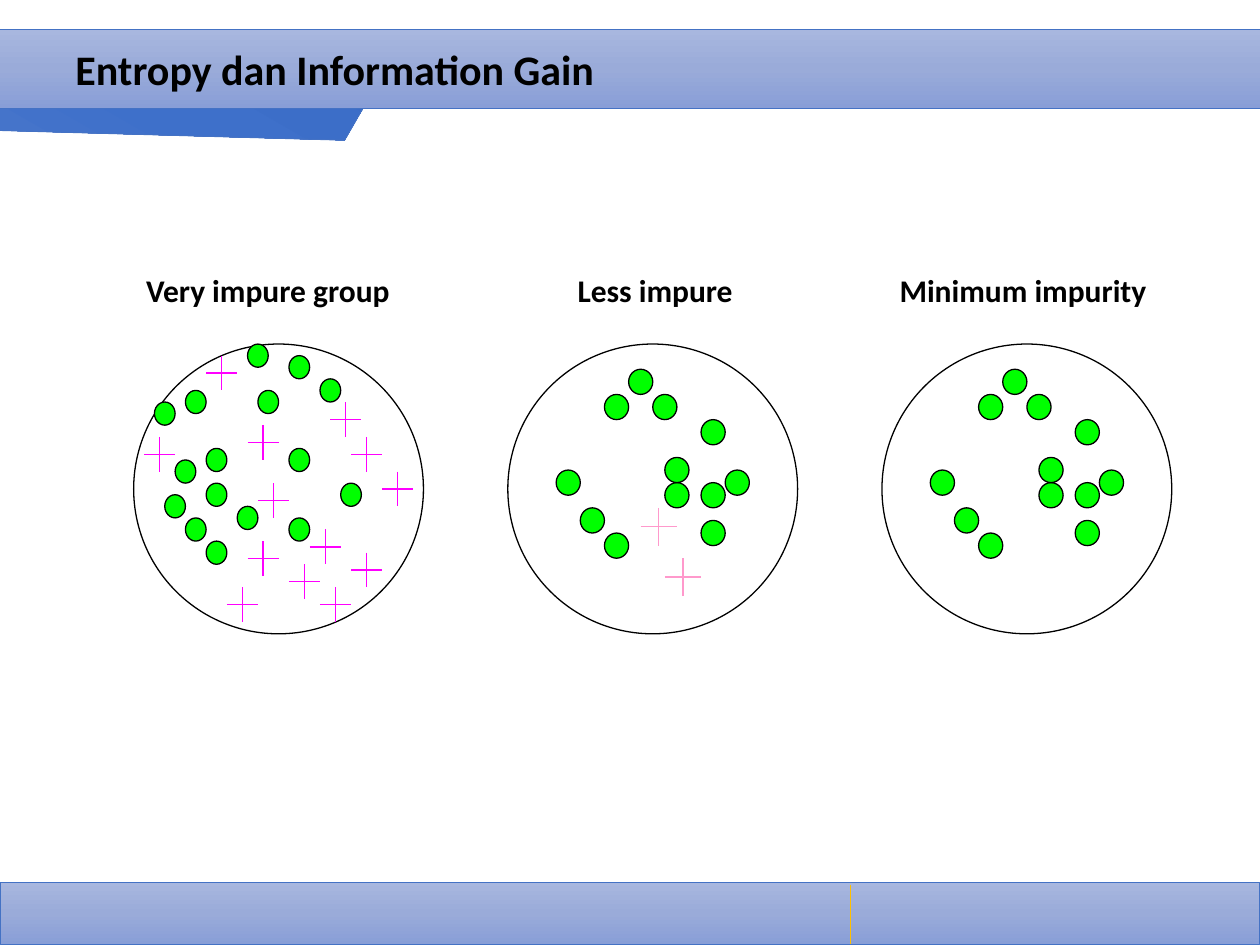
import copy
import pptx
import pptx.dml.color
import pptx.enum.shapes
import pptx.enum.text
import pptx.oxml.ns
import pptx.util
import lxml.etree

Pt = pptx.util.Pt
SHAPE = pptx.enum.shapes.MSO_SHAPE
ALIGN = pptx.enum.text.PP_ALIGN
ANCHOR = pptx.enum.text.MSO_ANCHOR
AUTO = pptx.enum.text.MSO_AUTO_SIZE
qn = pptx.oxml.ns.qn

BAR = ("A8B7DF", "9AABD9", "889ED7")
RIBBON = ("6183CB", "3E70CA", "3062BB")
DIAMETER = 165.6
CIRCLE_TOP = 196.6
CIRCLE_LEFT = 76.4
CIRCLE_PITCH = 213.8

MIXED_DOTS = [(20, 12), (15, 9), (5, 4), (3, 13), (7, 12), (15, 1), (11, 0),
              (12, 4), (18, 3), (15, 15), (5, 15), (7, 17), (10, 14), (7, 9),
              (4, 10), (2, 5)]
MIXED_CROSSES = [(7, 1), (11, 7), (11, 17), (19, 5), (1, 8), (15, 19), (9, 21),
                 (21, 18), (12, 12), (17, 16), (18, 21), (21, 8), (24, 11)]
PURE_DOTS = [(10, 2), (16, 11), (13, 11), (8, 4), (16, 14), (16, 6), (4, 10),
             (6, 13), (8, 15), (12, 4), (13, 9), (18, 10)]
FEW_CROSSES = [(11, 13), (13, 17)]

GROUPS = [
    ("Very impure group", (76.4, 154.8), ALIGN.LEFT, False, (28, 25),
     MIXED_DOTS, MIXED_CROSSES, "FF00FF"),
    ("Less impure", (320.4, 108), ALIGN.CENTER, True, (24, 23),
     PURE_DOTS, FEW_CROSSES, "FF99CC"),
    ("Minimum impurity", (486, 197.3), ALIGN.CENTER, True, (24, 23),
     PURE_DOTS, [], "FF99CC"),
]


def rgb(value):
    return pptx.dml.color.RGBColor.from_string(value)


def apply(target, values):
    for name, value in values.items():
        setattr(target, name, value)


class Deck:
    font = {"name": "Calibri", "bold": True}
    ink = "000000"
    edge = "4472C4"
    dot_fill = "00FF00"
    thin = 0.75

    def __init__(self, width, height):
        self.prs = pptx.Presentation()
        apply(self.prs, {"slide_width": Pt(width), "slide_height": Pt(height)})
        self.s = self.prs.slides.add_slide(self.prs.slide_layouts[6])
        self.shapes = self.s.shapes

    def group(self):
        self.shapes = self.s.shapes.add_group_shape().shapes

    def shape(self, kind, box, color, weight):
        sp = self.shapes.add_shape(kind, *map(Pt, box))
        sp.shadow.inherit = False
        sp.line.color.rgb = rgb(color)
        sp.line.width = Pt(weight)
        return sp

    def gradient(self, kind, box, colors):
        sp = self.shape(kind, box, self.edge, 0.5)
        sp.fill.gradient()
        sp.fill.gradient_angle = 270
        first = next(sp._element.spPr.iter(qn("a:gs")))
        first.addnext(copy.deepcopy(first))
        for i, (stop, color) in enumerate(zip(sp.fill.gradient_stops, colors)):
            stop.color.rgb = rgb(color)
            stop.position = i / 2
        return sp

    def ellipse(self, box, fill=None):
        sp = self.shape(SHAPE.OVAL, box, self.ink, self.thin)
        if fill:
            sp.fill.solid()
            sp.fill.fore_color.rgb = rgb(fill)
        else:
            sp.fill.background()

    def line(self, ends, color, weight):
        kind = pptx.enum.shapes.MSO_CONNECTOR.STRAIGHT
        cxn = self.shapes.add_connector(kind, *map(Pt, ends))
        cxn.line.color.rgb = rgb(color)
        cxn.line.width = Pt(weight)
        lxml.etree.SubElement(cxn._element.spPr, qn("a:effectLst"))

    def cross(self, x, y, w, h, color):
        self.line((x, y + h / 2, x + w, y + h / 2), color, self.thin)
        self.line((x + w / 2, y, x + w / 2, y + h), color, self.thin)

    def text(self, box, words, size, align, frame):
        tf = self.s.shapes.add_textbox(*map(Pt, box)).text_frame
        apply(tf, frame)
        p = tf.paragraphs[0]
        p.alignment = align
        r = p.add_run()
        r.text = words
        apply(r.font, {**self.font, "size": Pt(size)})
        r.font.color.rgb = rgb(self.ink)

    def sample(self, left, grid, dots, crosses, color):
        self.group()
        self.ellipse((left, CIRCLE_TOP, DIAMETER, DIAMETER))
        dx, dy = (DIAMETER / n for n in grid)
        for col, row in dots:
            self.ellipse((left + col * dx, CIRCLE_TOP + row * dy, 2 * dx, 2 * dy),
                         self.dot_fill)
        for col, row in crosses:
            self.cross(left + col * dx, CIRCLE_TOP + row * dy, 3 * dx, 3 * dy, color)


def main():
    d = Deck(720, 540)

    d.group()
    d.gradient(SHAPE.RECTANGLE, (0, 504, 720, 36), BAR)
    d.line((486, 505.5, 486, 539.3), "FFC000", 1)

    d.group()
    ribbon = d.gradient(SHAPE.DIAGONAL_STRIPE, (-132.5, -58.3, 331.9, 179.3), RIBBON)
    ribbon.adjustments[0] = 0.72
    ribbon.rotation = 210
    d.gradient(SHAPE.RECTANGLE, (-39.6, 16.6, 759.6, 45.4), BAR)

    d.text((36, -5.8, 648, 90), "Entropy dan Information Gain", 24, ALIGN.JUSTIFY,
           {"word_wrap": True, "vertical_anchor": ANCHOR.MIDDLE})

    for i, (label, (x, w), align, wrap, *sample) in enumerate(GROUPS):
        d.sample(CIRCLE_LEFT + i * CIRCLE_PITCH, *sample)
        d.text((x, 151.2, w, 29.1), label, 18, align,
               {"word_wrap": wrap, "auto_size": AUTO.SHAPE_TO_FIT_TEXT})

    d.prs.save("out.pptx")


if __name__ == "__main__":
    main()
